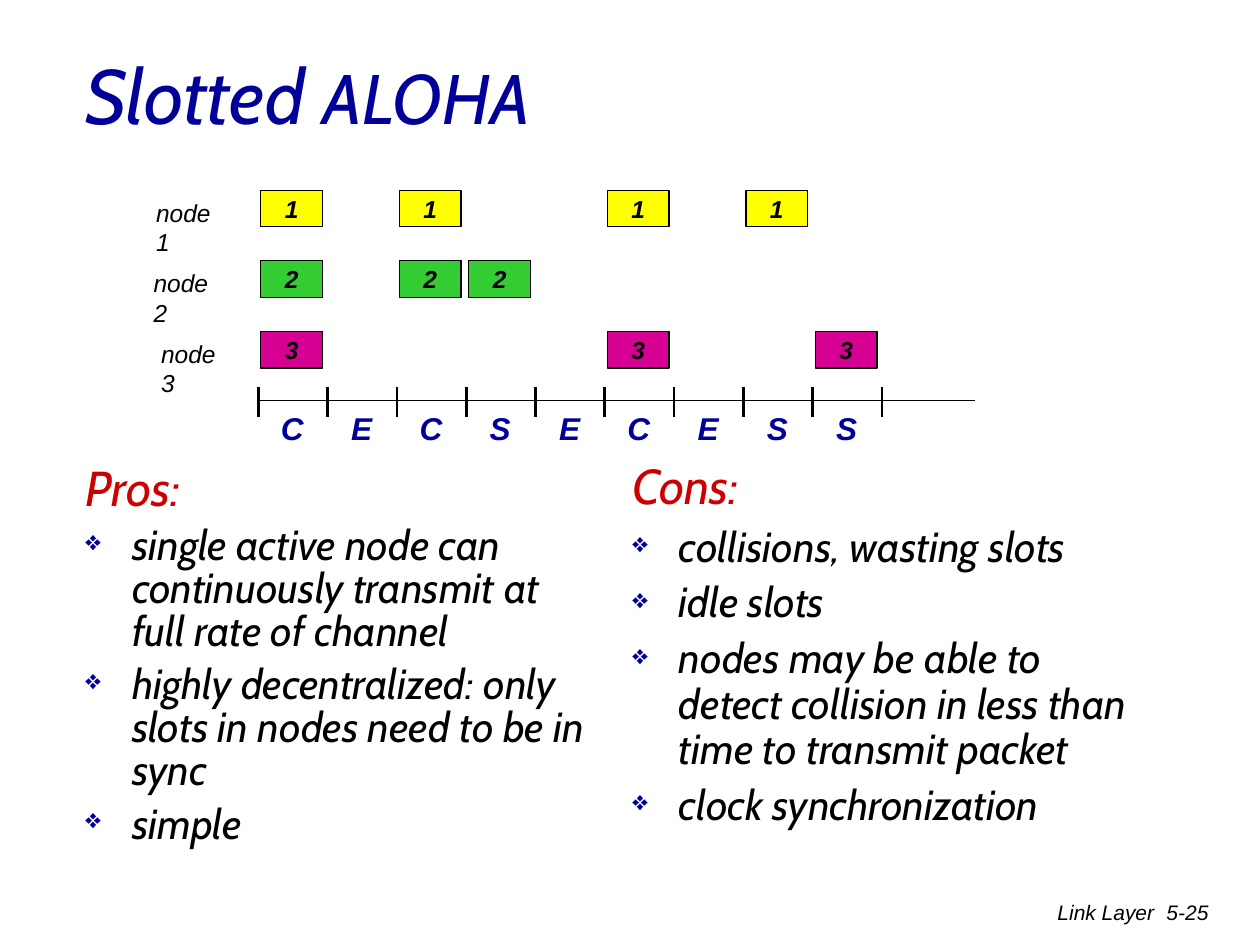
from lxml.etree import SubElement
from pptx import Presentation
from pptx.dml.color import RGBColor
from pptx.enum.shapes import MSO_CONNECTOR, MSO_SHAPE
from pptx.enum.text import MSO_ANCHOR, PP_ALIGN
from pptx.oxml.ns import qn
from pptx.util import Inches, Pt

BLACK = RGBColor(0x00, 0x00, 0x00)
NAVY = RGBColor(0x00, 0x00, 0x99)
RED = RGBColor(0xCC, 0x00, 0x00)
YELLOW = RGBColor(0xFF, 0xFF, 0x00)
GREEN = RGBColor(0x33, 0xCC, 0x33)
MAGENTA = RGBColor(0xD6, 0x00, 0x93)

AXIS_LEFT, AXIS_RIGHT, AXIS_TOP = 2.05, 7.74, 3.18
SLOT_WIDTH = 0.55
SLOT_OUTCOMES = "CECSECESS"  # collision, empty or success

# label, label left, row top, colour, slots in which the node transmits
NODES = [
    ("1", 1.14, 1.51, YELLOW, (0, 2, 5, 7)),
    ("2", 1.12, 2.07, GREEN, (0, 2, 3)),
    ("3", 1.18, 2.63, MAGENTA, (0, 5, 8)),
]

PROS = [
    "single active node can continuously transmit at full rate of channel",
    "highly decentralized: only slots in nodes need to be in sync",
    "simple",
]
CONS = [
    "collisions, wasting slots",
    "idle slots",
    "nodes may be able to detect collision in less than time to transmit packet",
    "clock synchronization",
]


def write(paragraph, text, font="Arial", size=14, color=BLACK, bold=False,
          align=PP_ALIGN.LEFT):
    run = paragraph.add_run()
    run.text = text
    run.font.name = font
    run.font.size = Pt(size)
    run.font.color.rgb = color
    run.font.bold = bold
    run.font.italic = True
    paragraph.alignment = align


def set_indent(paragraph):
    """Hang the first line back to the left edge of the text."""
    properties = paragraph._p.get_or_add_pPr()
    properties.set("marL", str(Inches(0.37)))
    properties.set("indent", str(-Inches(0.37)))
    return properties


def add_bullet(properties):
    color = SubElement(properties, qn("a:buClr"))
    SubElement(color, qn("a:srgbClr")).set("val", str(NAVY))
    SubElement(properties, qn("a:buSzPct")).set("val", "65000")
    SubElement(properties, qn("a:buChar")).set("char", "❖")


class SlideBuilder:
    heading_font = "Cabin"

    def __init__(self, slide):
        self.slide = slide

    def text_frame(self, left, top, width, height, wrap=True, anchor=MSO_ANCHOR.TOP):
        box = self.slide.shapes.add_textbox(
            Inches(left), Inches(top), Inches(width), Inches(height))
        frame = box.text_frame
        frame.word_wrap = wrap
        frame.vertical_anchor = anchor
        return frame

    def label(self, text, left, top, width, height, **style):
        frame = self.text_frame(left, top, width, height, wrap=False)
        write(frame.paragraphs[0], text, **style)

    def title(self, *parts):
        frame = self.text_frame(0.58, 0.12, 5.42, 1.25, anchor=MSO_ANCHOR.MIDDLE)
        for text, size in parts:
            write(frame.paragraphs[0], text, font=self.heading_font, size=size, color=NAVY)

    def bullet_list(self, heading, items, left, top, line_spacing):
        frame = self.text_frame(left, top, 4.17, 3.5)
        paragraph = frame.paragraphs[0]
        paragraph.line_spacing = line_spacing
        paragraph.space_before = Pt(7)
        set_indent(paragraph)
        write(paragraph, heading, font=self.heading_font, size=28, color=RED)
        for item in items:
            paragraph = frame.add_paragraph()
            paragraph.line_spacing = line_spacing
            paragraph.space_before = Pt(6)
            add_bullet(set_indent(paragraph))
            write(paragraph, item, font=self.heading_font, size=24)

    def packet(self, text, left, top, color):
        shape = self.slide.shapes.add_shape(
            MSO_SHAPE.RECTANGLE, Inches(left), Inches(top), Inches(0.49), Inches(0.29))
        shape.shadow.inherit = False
        shape.fill.solid()
        shape.fill.fore_color.rgb = color
        shape.line.color.rgb = BLACK
        shape.line.width = Pt(0.75)
        frame = shape.text_frame
        frame.word_wrap = False
        frame.margin_top = frame.margin_bottom = 0
        frame.vertical_anchor = MSO_ANCHOR.MIDDLE
        write(frame.paragraphs[0], text, bold=True, align=PP_ALIGN.CENTER)

    def line(self, start_x, start_y, end_x, end_y, width):
        connector = self.slide.shapes.add_connector(
            MSO_CONNECTOR.STRAIGHT, Inches(start_x), Inches(start_y),
            Inches(end_x), Inches(end_y))
        connector.line.color.rgb = BLACK
        connector.line.width = Pt(width)
        SubElement(connector._element.spPr, qn("a:effectLst"))

    def timeline(self):
        self.line(AXIS_LEFT, AXIS_TOP, AXIS_RIGHT, AXIS_TOP, 0.75)
        for slot in range(len(SLOT_OUTCOMES) + 1):
            tick = AXIS_LEFT + slot * SLOT_WIDTH
            self.line(tick, 3.07, tick, 3.31, 1.5)
        for slot, outcome in enumerate(SLOT_OUTCOMES):
            self.label(outcome, AXIS_LEFT + slot * SLOT_WIDTH + 0.08, 3.2, 0.38, 0.4,
                       size=18, color=NAVY, bold=True, align=PP_ALIGN.CENTER)


def main():
    presentation = Presentation()
    presentation.slide_width = Inches(10)
    presentation.slide_height = Inches(7.5)
    builder = SlideBuilder(presentation.slides.add_slide(presentation.slide_layouts[6]))

    builder.label("Link Layer", 6.09, 7.09, 3.17, 0.5, size=12, align=PP_ALIGN.RIGHT)
    builder.label("5-25", 8.95, 7.09, 0.74, 0.5, size=12, align=PP_ALIGN.RIGHT)
    builder.title(("Slotted ", 44), ("ALOHA", 40))
    builder.bullet_list("Pros:", PROS, 0.58, 3.65, 0.85)
    builder.bullet_list("Cons:", CONS, 4.92, 3.62, 0.9)

    for number, label_left, top, color, slots in NODES:
        builder.label(f"node {number}", label_left, top + 0.01, 0.79, 0.34)
        for slot in slots:
            builder.packet(number, AXIS_LEFT + slot * SLOT_WIDTH + 0.02, top, color)
    builder.timeline()

    presentation.save("out.pptx")


if __name__ == "__main__":
    main()
